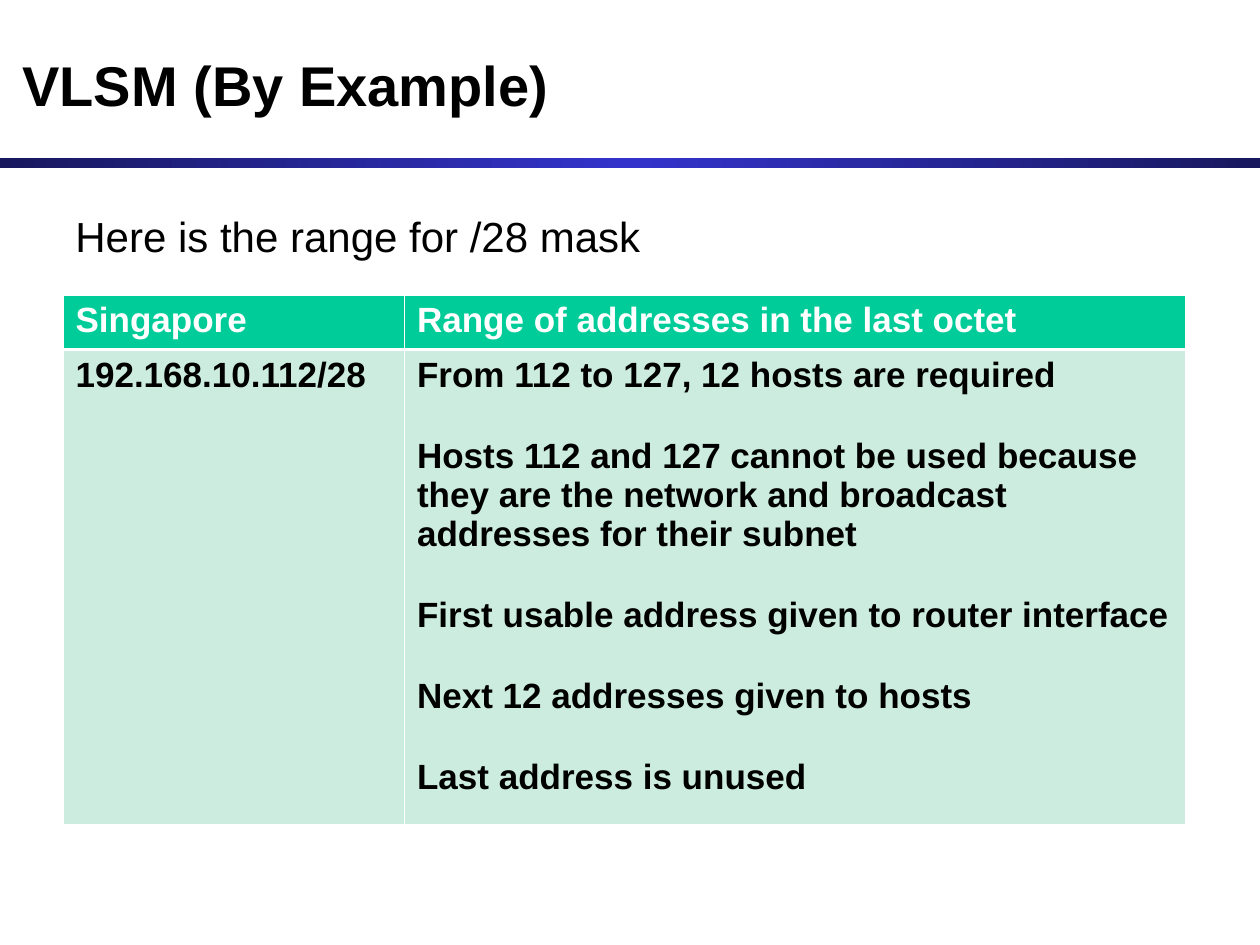
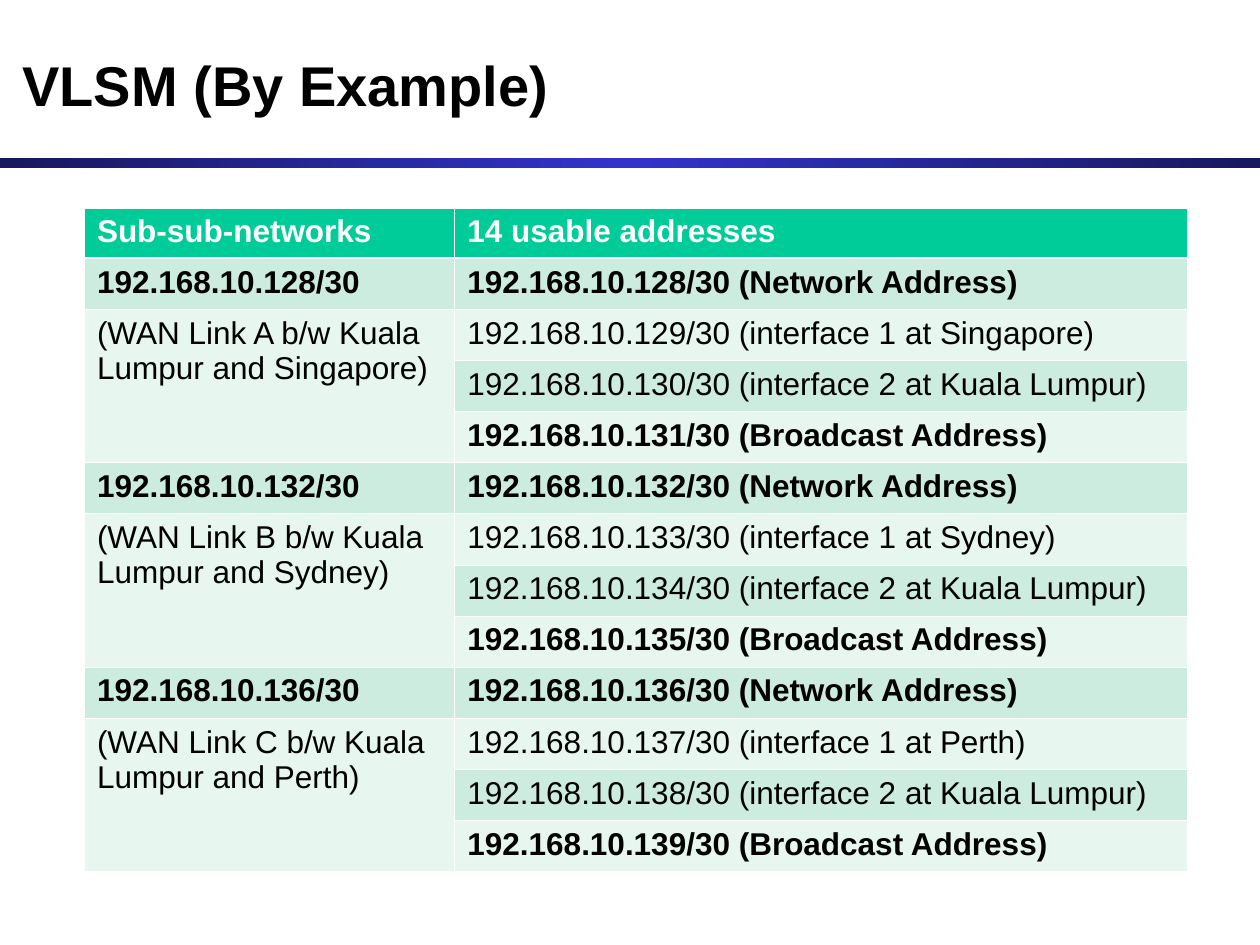
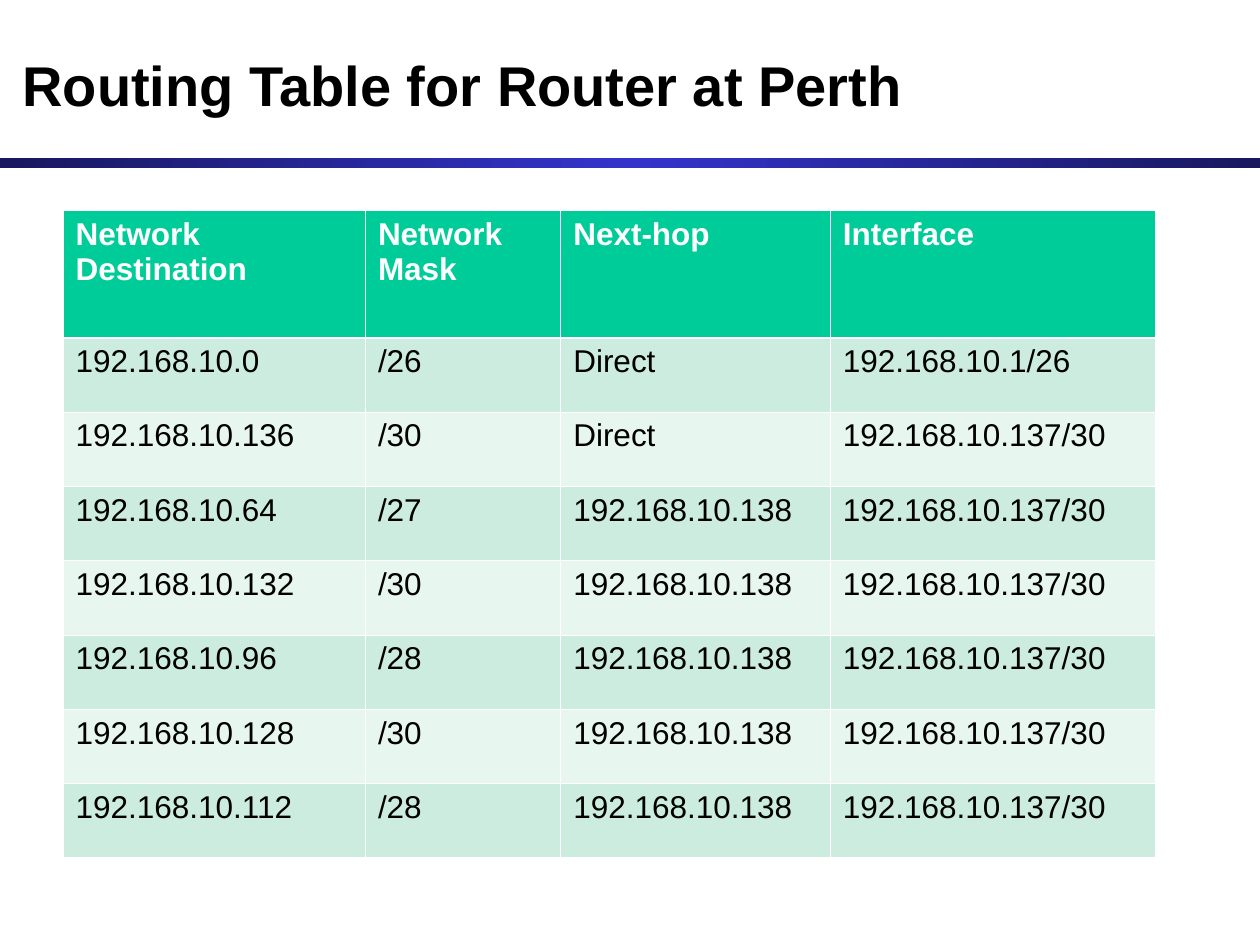
"""Build three slides on VLSM addressing and a routing table."""
import copy
from dataclasses import dataclass

from pptx import Presentation
from pptx import util as u
from pptx.dml.color import RGBColor
from pptx.enum import shapes, text
from pptx.oxml import ns, xmlchemy


@dataclass(frozen=True)
class Theme:
    font: str = "Arial"
    ink: str = "000000"
    white: str = "FFFFFF"
    bar_edge: str = "18185E"
    bar_middle: str = "3333CC"
    header: str = "00CC99"
    bands: tuple = ("E7F6EF", "CBECDE")
    title: int = 32
    body: int = 24
    large_cell: int = 20
    cell: int = 18
    thin: float = 0.45
    thick: float = 1.47


T = Theme()

RANGE_NOTES = [
    "From 112 to 127, 12 hosts are required",
    "Hosts 112 and 127 cannot be used because they are the network and broadcast "
    "addresses for their subnet",
    "First usable address given to router interface",
    "Next 12 addresses given to hosts",
    "Last address is unused",
]
WAN_LINKS = [(128, "A", "Singapore"), (132, "B", "Sydney"), (136, "C", "Perth")]
HUB = "Kuala Lumpur"
PERTH_LINK = ("192.168.10.138", "192.168.10.137/30")
ROUTES = [
    ("192.168.10.0", "/26", "Direct", "192.168.10.1/26"),
    ("192.168.10.136", "/30", "Direct", PERTH_LINK[1]),
    ("192.168.10.64", "/27", *PERTH_LINK),
    ("192.168.10.132", "/30", *PERTH_LINK),
    ("192.168.10.96", "/28", *PERTH_LINK),
    ("192.168.10.128", "/30", *PERTH_LINK),
    ("192.168.10.112", "/28", *PERTH_LINK),
]


def wan_rows():
    rows = []
    for first, link, site in WAN_LINKS:
        roles = ["Network Address", f"interface 1 at {site}",
                 f"interface 2 at {HUB}", "Broadcast Address"]
        labels = [f"192.168.10.{first}/30", f"(WAN Link {link} b/w {HUB} and {site})", "", ""]
        rows += [(label, f"192.168.10.{first + i}/30 ({role})")
                 for i, (label, role) in enumerate(zip(labels, roles))]
    return rows


SLIDES = [
    dict(
        title="VLSM (By Example)",
        lead="Here is the range for /28 mask",
        at=(0.5, 2.34), widths=(2.71, 6.2), header=0.43, height=4.2, size=T.large_cell,
        rows=[("Singapore", "Range of addresses in the last octet"),
              ("192.168.10.112/28", RANGE_NOTES)],
        bold=(0, 1),
    ),
    dict(
        title="VLSM (By Example)",
        at=(0.67, 1.65), widths=(2.94, 5.81), header=0.4, height=5.27, size=T.cell,
        rows=[("Sub-sub-networks", "14 usable addresses"), *wan_rows()],
        bold=(0, 1, 4, 5, 8, 9, 12),
        merges=[(2, 4), (6, 8), (10, 12)],
    ),
    dict(
        title="Routing Table for Router at Perth",
        at=(0.5, 1.67), widths=(2.4, 1.55), header=1.01, height=5.14, size=T.cell,
        rows=[("Network Destination", "Network Mask", "Next-hop", "Interface"), *ROUTES],
        bold=(0,),
    ),
]
SLIDES[2]["widths"] += (2.14, 2.58)


def write(tf, content, size, color=T.ink, bold=False, gap=0):
    paragraphs = [content] if isinstance(content, str) else content
    for i, line in enumerate(paragraphs):
        p = tf.add_paragraph() if i else tf.paragraphs[0]
        if i and gap:
            p.space_before = u.Pt(gap)
        r = p.add_run()
        r.text = line
        r.font.name, r.font.size, r.font.bold = T.font, u.Pt(size), bold
        r.font.color.rgb = RGBColor.from_string(color)


def add_text(s, content, at, anchor=text.MSO_ANCHOR.TOP, **style):
    tf = s.shapes.add_textbox(*map(u.Inches, at)).text_frame
    tf.word_wrap, tf.vertical_anchor = True, anchor
    write(tf, content, **style)


def add_bar(s):
    bar = s.shapes.add_shape(shapes.MSO_SHAPE.RECTANGLE,
                             *map(u.Inches, (0, 1.25, 10, 0.08)))
    bar.shadow.inherit = False
    bar.line.fill.background()
    bar.fill.gradient()
    bar.fill.gradient_angle = 0
    stops = bar._element.spPr.find(".//" + ns.qn("a:gsLst"))
    stops.insert(1, copy.deepcopy(stops[0]))
    colors = (T.bar_edge, T.bar_middle, T.bar_edge)
    for i, (stop, color) in enumerate(zip(bar.fill.gradient_stops, colors)):
        stop.position = i / 2
        stop.color.rgb = RGBColor.from_string(color)


def add_borders(cell, row):
    tc_pr = cell._tc.get_or_add_tcPr()
    heavy = {0: "B", 1: "T"}.get(row)
    for i, side in enumerate("LRTB"):
        width = T.thick if side == heavy else T.thin
        ln = tc_pr.makeelement(ns.qn(f"a:ln{side}"), {"w": str(u.Pt(width))})
        fill = ln.makeelement(ns.qn("a:solidFill"), {})
        fill.append(fill.makeelement(ns.qn("a:srgbClr"), {"val": T.white}))
        ln.append(fill)
        tc_pr.insert(i, ln)


def add_grid(s, at, widths, header, height, size, rows, bold, merges=()):
    tbl = s.shapes.add_table(len(rows), len(widths),
                             *map(u.Inches, (*at, sum(widths), height))).table
    for column, width in zip(tbl.columns, widths):
        column.width = u.Inches(width)
    row_height = (height - header) / (len(rows) - 1)
    for i, values in enumerate(rows):
        tbl.rows[i].height = u.Inches(row_height if i else header)
        for j, value in enumerate(values):
            cell = tbl.cell(i, j)
            cell.fill.solid()
            cell.fill.fore_color.rgb = RGBColor.from_string(T.bands[i % 2] if i else T.header)
            add_borders(cell, i)
            if value:
                write(cell.text_frame, value, size=size, bold=i in bold,
                      color=T.ink if i else T.white, gap=24)
    for first, last in merges:
        tbl.cell(first, 0).merge(tbl.cell(last, 0))


def add_slide(prs, title, lead=None, **grid):
    s = prs.slides.add_slide(prs.slide_layouts[6])
    add_bar(s)
    add_text(s, title, (0.08, 0.17, 9.83, 1), anchor=text.MSO_ANCHOR.MIDDLE,
             size=T.title, bold=True)
    if lead:
        add_text(s, lead, (0.5, 1.62, 8.58, 0.54), size=T.body)
    add_grid(s, **grid)


def main():
    prs = Presentation()
    prs.slide_width, prs.slide_height = u.Inches(10), u.Inches(7.5)
    for slide in SLIDES:
        add_slide(prs, **slide)
    prs.save("out.pptx")


if __name__ == "__main__":
    main()
